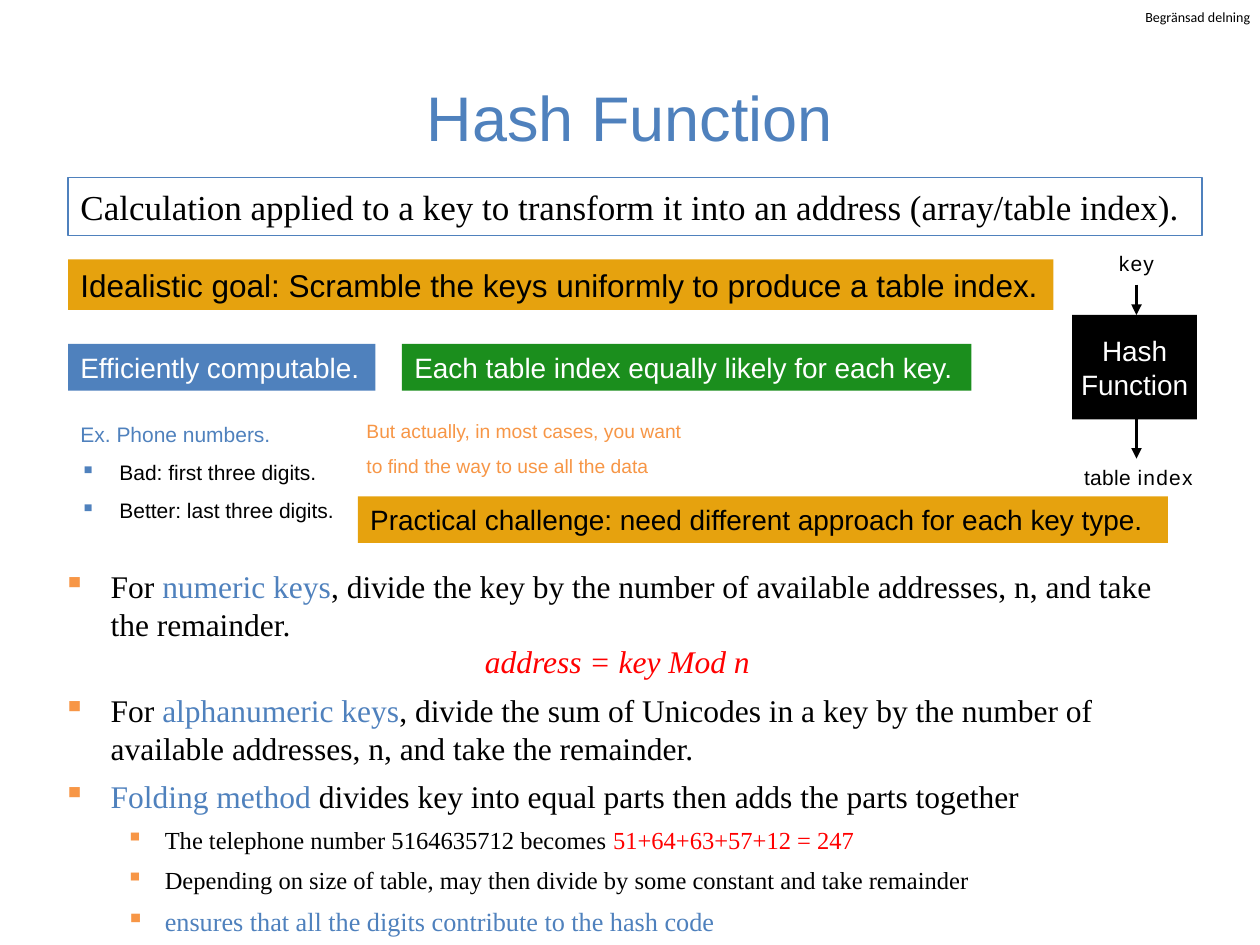
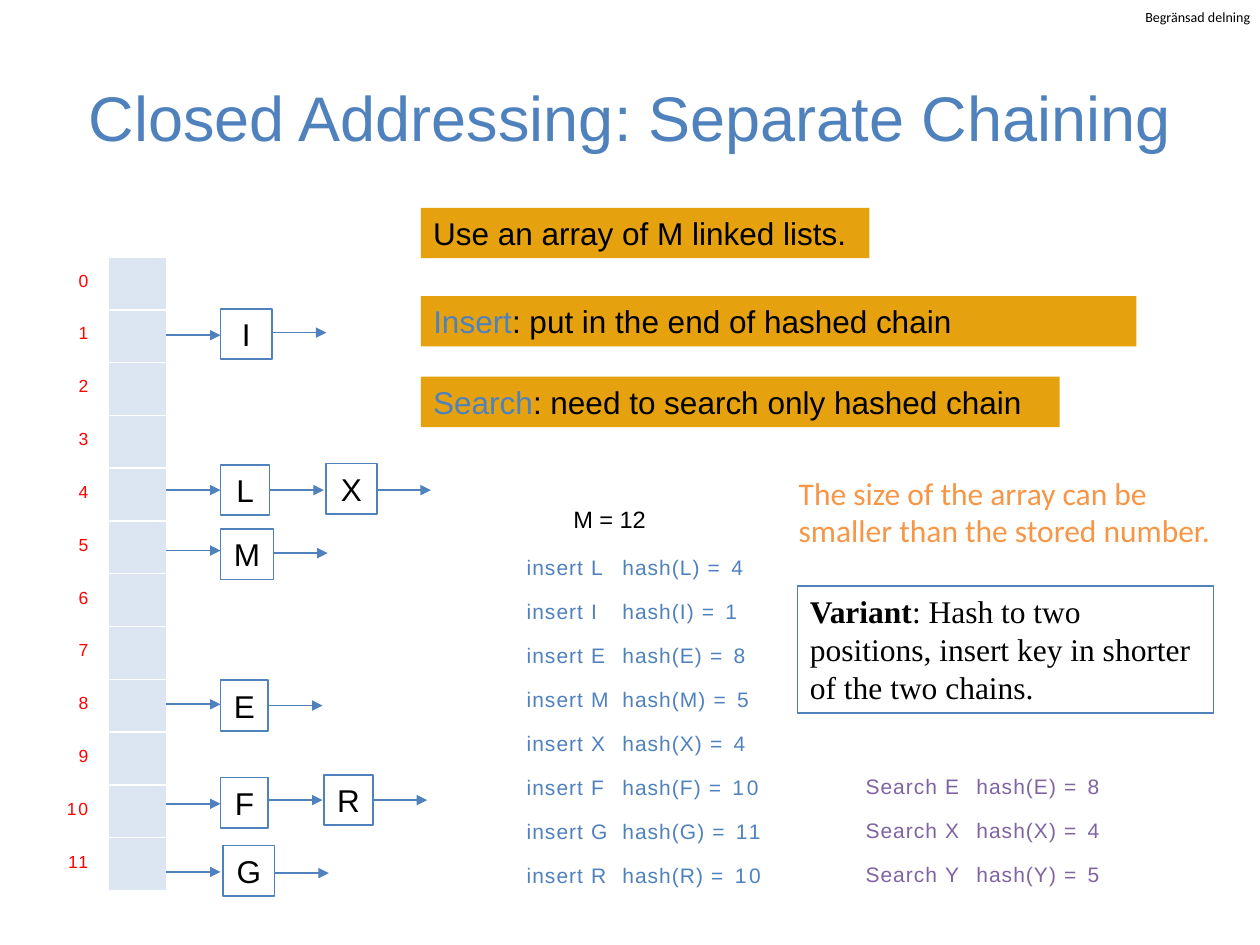
from lxml.etree import SubElement
from pptx import Presentation
from pptx.dml.color import RGBColor
from pptx.enum.shapes import MSO_CONNECTOR, MSO_SHAPE
from pptx.enum.text import MSO_ANCHOR as ANCHOR, PP_ALIGN as ALIGN
from pptx.oxml.ns import qn
from pptx.util import Emu, Pt

EMU_PER_PX = 9144  # 100 px to the inch
COLORS = {
    "blue": "4F81BD", "orange": "F79646", "gold": "E6A20E", "green": "1B8E1D",
    "red": "FF0000", "purple": "8064A2", "pale": "DCE6F2",
    "black": "000000", "white": "FFFFFF",
}
SANS, SERIF, LABEL_FONT = "Arial", "Times New Roman", "Calibri"
INSETS = (10, 5, 10, 5)
TIGHT = (1, 1, 0, 0)
BLUE, RED, BLACK = {"color": "blue"}, {"color": "red"}, {"color": "black"}

# ---- Content: shared ----
SHARING_LABEL = "Begränsad delning"

# ---- Content: hash function ----
DEFINITION = "Calculation applied to a key to transform it into an address (array/table index)."
BANNERS = [  # text, box, fill, format
    ("Idealistic goal: Scramble the keys uniformly to produce a table index.",
     (54, 206, 782, 40), "gold", {"size": 18}),
    ("Practical challenge: need different approach for each key type.",
     (284, 394, 643, 37), "gold", {"size": 16}),
    ("Efficiently computable.", (54, 273, 244, 37), "blue", {"size": 16, "color": "white"}),
    ("Each table index equally likely for each key.",
     (319, 273, 452, 37), "green", {"size": 16, "color": "white"}),
]
EXAMPLE_BULLET = {"bullet": "blue", "indent": (31, -31)}
PHONE_EXAMPLE = [
    (["Ex. Phone numbers."], BLUE),
    (["Bad: first three digits."], EXAMPLE_BULLET),
    (["Better: last three digits."], EXAMPLE_BULLET),
]
ADVICE = "But actually, in most cases, you want to find the way to use all the data"
METHOD = {"bullet": "orange", "indent": (38, -38)}
SPACED = {"before": 3, "after": 3}
DETAIL = {"bullet": "orange", "indent": (81, -31), "level": 1, "size": 14, **SPACED}
METHODS = [
    (["For ", ("numeric keys", BLUE), ", divide the key by the number of available "
      "addresses, n, and take the remainder."], METHOD),
    (["address = key Mod n"],
     {"align": ALIGN.CENTER, "after": 3, "color": "red", "italic": True}),
    (["For ", ("alphanumeric keys", BLUE), ", divide the sum of Unicodes in a key by the "
      "number of available addresses, n, and take the remainder."], {**METHOD, **SPACED}),
    ([("Folding method ", BLUE), "divides key into equal parts then adds the parts together"],
     {**METHOD, **SPACED}),
    (["The telephone number 5164635712 becomes ", ("51+64+63+57+12 = 247", RED)], DETAIL),
    (["Depending on size of table, may then divide by some constant and take remainder"], DETAIL),
    (["ensures that all the digits contribute to the hash code"],
     {**DETAIL, **BLUE, "size": 15}),
]

# ---- Content: separate chaining ----
BUCKETS = 12
CHAINS = [  # entry arrow y, next arrow y, nodes as (key, left, top, width)
    (266, 264, [("I", 175, 245, 41)]),
    (389, 389, [("L", 175, 369, 39), ("X", 259, 368, 40)]),
    (437, 439, [("M", 175, 420, 42)]),
    (559, 560, [("E", 175, 540, 38)]),
    (638, 635, [("F", 175, 617, 38), ("R", 257, 615, 39)]),
    (692, 693, [("G", 177, 671, 41)]),
]
INSERTS = [("L", 4), ("I", 1), ("E", 8), ("M", 5), ("X", 4), ("F", 10), ("G", 11), ("R", 10)]
SEARCHES = [("E", 8), ("X", 4), ("Y", 5)]
RULES = [  # runs, box
    (["Use an array of M linked lists."], (334, 165, 356, 40)),
    ([("Insert", BLUE), ": put in the end of hashed chain"], (334, 235, 568, 40)),
    ([("Search", BLUE), ": need to search only hashed chain"], (334, 299, 507, 40)),
]
SIZE_NOTE = "The size of the array can be smaller than the stored number."
VARIANT = [("Variant", {"bold": True}),
           ": Hash to two positions, insert key in shorter of the two chains."]


# ---- Helpers ----
def px(length):
    return Emu(round(length * EMU_PER_PX))


def rgb(name):
    return RGBColor.from_string(COLORS[name])


def set_bullet_and_tab(paragraph, bullet=None, indent=None, tab=None):
    props = paragraph._p.get_or_add_pPr()
    if indent:
        props.set("marL", str(px(indent[0])))
        props.set("indent", str(px(indent[1])))
    if bullet:
        color = SubElement(props, qn("a:buClr"))
        SubElement(color, qn("a:srgbClr"), val=COLORS[bullet])
        SubElement(props, qn("a:buChar"), char="▪")
    if tab:
        tabs = SubElement(props, qn("a:tabLst"))
        SubElement(tabs, qn("a:tab"), pos=str(px(tab)), algn="l")


def format_run(run, size=18, font=SANS, color="black", bold=False, italic=False, spacing=0):
    run.font.size, run.font.name = Pt(size), font
    run.font.bold, run.font.italic = bold, italic
    run.font.color.rgb = rgb(color)
    if spacing:
        run._r.get_or_add_rPr().set("spc", str(round(spacing * 100)))


def fill_paragraph(paragraph, runs, align=ALIGN.LEFT, line=None, before=0, after=0, level=0,
                   bullet=None, indent=None, tab=None, **run_format):
    set_bullet_and_tab(paragraph, bullet, indent, tab)
    paragraph.alignment, paragraph.level = align, level
    paragraph.space_before, paragraph.space_after = Pt(before), Pt(after)
    if line:
        paragraph.line_spacing = line
    for part in runs:
        text, change = (part, {}) if isinstance(part, str) else part
        run = paragraph.add_run()
        run.text = text
        format_run(run, **{**run_format, **change})


def add_text(slide, box, content, fill=None, border=None, border_width=0.75,
             anchor=ANCHOR.TOP, insets=INSETS, wrap=True, **text_format):
    """content is a string, or a list of (runs, paragraph format)."""
    place = [px(n) for n in box]
    if fill or border:
        holder = slide.shapes.add_shape(MSO_SHAPE.RECTANGLE, *place)
        holder.shadow.inherit = False
        if fill:
            holder.fill.solid()
            holder.fill.fore_color.rgb = rgb(fill)
        else:
            holder.fill.background()
        if border:
            holder.line.color.rgb = rgb(border)
            holder.line.width = Pt(border_width)
        else:
            holder.line.fill.background()
    else:
        holder = slide.shapes.add_textbox(*place)
    frame = holder.text_frame
    frame.word_wrap, frame.vertical_anchor = wrap, anchor
    (frame.margin_left, frame.margin_top,
     frame.margin_right, frame.margin_bottom) = [px(n) for n in insets]
    if isinstance(content, str):
        content = [([content], {})]
    for i, (runs, change) in enumerate(content):
        paragraph = frame.add_paragraph() if i else frame.paragraphs[0]
        fill_paragraph(paragraph, runs, **{**text_format, **change})


def add_arrow(slide, start, end, color="blue", width=1):
    arrow = slide.shapes.add_connector(MSO_CONNECTOR.STRAIGHT, *[px(n) for n in start + end])
    arrow.line.color.rgb = rgb(color)
    arrow.line.width = Pt(width)
    SubElement(arrow.line._get_or_add_ln(), qn("a:tailEnd"), type="triangle")
    SubElement(arrow._element.spPr, qn("a:effectLst"))


def start_slide(deck, title):
    slide = deck.slides.add_slide(deck.slide_layouts[6])
    add_text(slide, (909, 7, 86, 13), SHARING_LABEL, insets=(0, 0, 0, 0), wrap=False,
             size=8, font=LABEL_FONT)
    add_text(slide, (50, 30, 900, 125), title, anchor=ANCHOR.MIDDLE, align=ALIGN.CENTER,
             size=36, color="blue")
    return slide


# ---- Slide: hash function ----
def build_hash_function(deck):
    slide = start_slide(deck, "Hash Function")
    add_text(slide, (54, 141, 900, 46), DEFINITION, border="blue", anchor=ANCHOR.MIDDLE,
             size=20, font=SERIF)
    for text, box, fill, text_format in BANNERS:
        add_text(slide, box, text, fill=fill, **text_format)

    # Key to index flow
    add_text(slide, (851, 250, 99, 83), [(["Hash"], {}), (["Function"], {})], fill="black",
             anchor=ANCHOR.MIDDLE, insets=(0, 0, 0, 0), align=ALIGN.CENTER, size=16, color="white")
    add_text(slide, (887, 197, 31, 22), "key", anchor=ANCHOR.MIDDLE, insets=TIGHT, wrap=False,
             size=12, spacing=0.7)
    add_text(slide, (851, 365, 104, 23), [(["table ", ("index", {"spacing": 0.7})], {})],
             anchor=ANCHOR.MIDDLE, insets=TIGHT, align=ALIGN.CENTER, line=1.2,
             size=12, spacing=0.2)
    for top, bottom in [(226, 250), (331, 364)]:
        add_arrow(slide, (902, top), (902, bottom), color="black", width=2)

    # Example, advice and methods
    add_text(slide, (54, 320, 224, 97), PHONE_EXAMPLE, wrap=False, line=1.5, size=12)
    add_text(slide, (281, 319, 272, 62), ADVICE, line=1.5, size=11, color="orange")
    add_text(slide, (40, 445, 900, 296), METHODS, font=SERIF)


# ---- Slide: separate chaining ----
def add_bucket_array(slide, left=86, top=204, width=46, height=503):
    pitch = height / BUCKETS
    frame = slide.shapes.add_table(BUCKETS, 1, px(left), px(top), px(width), px(height))
    buckets = frame.table
    buckets.first_row = buckets.horz_banding = False
    buckets.columns[0].width = px(width)
    for i, row in enumerate(buckets.rows):
        row.height = px(pitch)
        cell = row.cells[0]
        props = cell._tc.get_or_add_tcPr()
        for side in ("a:lnL", "a:lnR", "a:lnT", "a:lnB"):
            edge = SubElement(props, qn(side), w=str(Pt(1)))
            SubElement(SubElement(edge, qn("a:solidFill")), qn("a:srgbClr"), val=COLORS["white"])
        cell.fill.solid()
        cell.fill.fore_color.rgb = rgb("pale")
        add_text(slide, (40, top + 9 + i * pitch, 30, 18), str(i), insets=TIGHT,
                 align=ALIGN.RIGHT, size=10, color="red", spacing=1.1)
    return left + width


def add_chains(slide, array_right, arrow_length=43):
    for entry_y, next_y, nodes in CHAINS:
        add_arrow(slide, (array_right, entry_y), (array_right + arrow_length, entry_y))
        for key, left, top, width in nodes:
            add_text(slide, (left, top, width, 40), key, border="blue", border_width=1,
                     insets=(0, 5, 0, 5), align=ALIGN.CENTER)
            right = left + width
            add_arrow(slide, (right, next_y), (right + arrow_length, next_y))


def add_hash_log(slide, action, entries, left, top, tab, color):
    for i, (key, index) in enumerate(entries):
        runs = [action + " ", (key + "\t", {"spacing": 1.1}),
                f"hash({key}) ", (f"= {index}", {"spacing": 1.6})]
        add_text(slide, (left, top + 35 * i, 200, 26), [(runs, {})], insets=TIGHT,
                 line=1.29, tab=tab, size=12, color=color, spacing=0.6)


def build_separate_chaining(deck):
    slide = start_slide(deck, "Closed Addressing: Separate Chaining")
    add_chains(slide, add_bucket_array(slide))
    for runs, box in RULES:
        add_text(slide, box, [(runs, {})], fill="gold")

    # Hash logs
    add_text(slide, (454, 400, 71, 24), "M = 12", insets=TIGHT, wrap=False, size=13.5)
    add_hash_log(slide, "insert", INSERTS, 417, 433, 76, "blue")
    add_hash_log(slide, "Search", SEARCHES, 686, 607, 88, "purple")

    # Notes
    add_text(slide, (624, 371, 349, 71), SIZE_NOTE, font=LABEL_FONT, color="orange")
    add_text(slide, (633, 465, 330, 101), [(VARIANT, {})], border="blue", font=SERIF)


def main():
    deck = Presentation()
    deck.slide_width, deck.slide_height = px(1000), px(750)
    build_hash_function(deck)
    build_separate_chaining(deck)
    deck.save("out.pptx")


if __name__ == "__main__":
    main()
